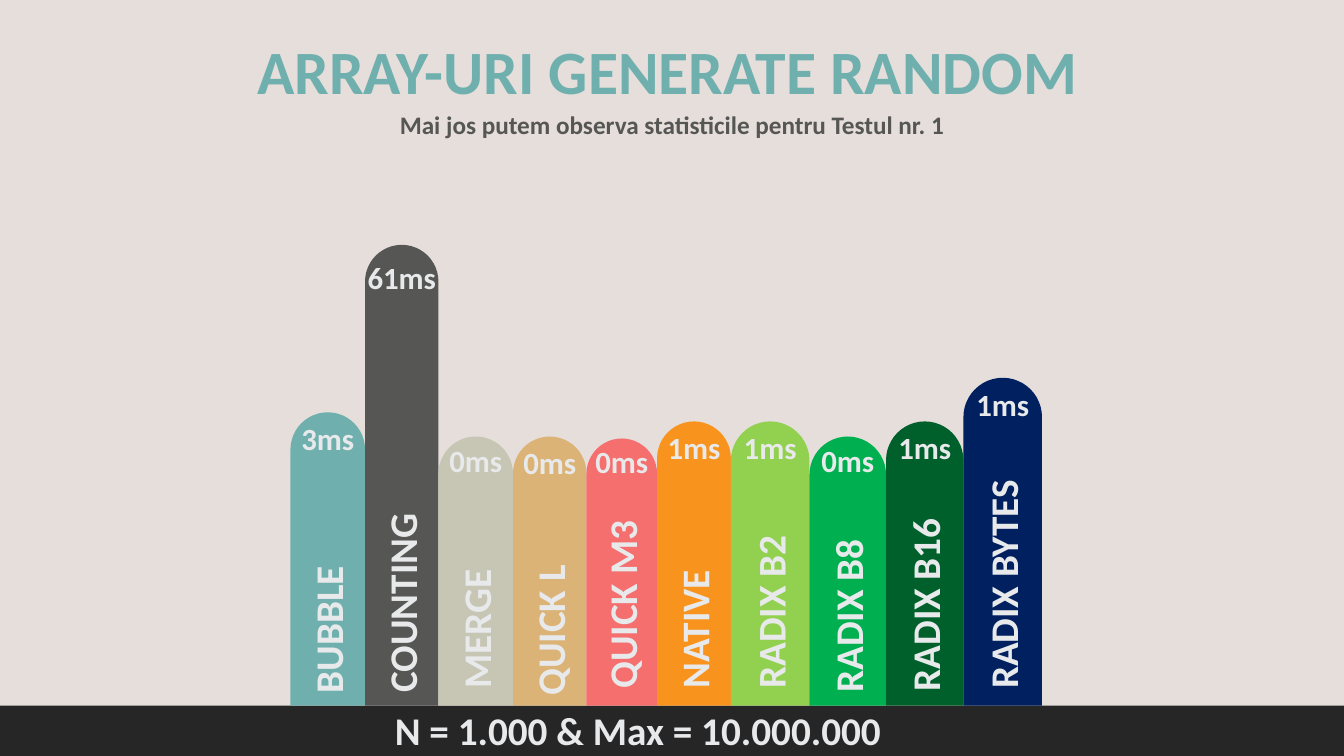
import pptx
import pptx.util
import pptx.dml.color
import pptx.enum.shapes
import pptx.enum.text

Cm = pptx.util.Cm
ALIGN = pptx.enum.text.PP_ALIGN
SHAPE = pptx.enum.shapes.MSO_SHAPE

COLORS = {
    "background": "E5DEDB", "floor": "262626", "label": "E8E9EB",
    "teal": "6FB0AE", "gray": "565654", "stone": "C7C6B4", "sand": "DCB376",
    "coral": "F46F6E", "orange": "F8931D", "lime": "92D050",
    "green": "00B050", "forest": "00602B", "navy": "002060",
}
HEADINGS = [
    ("ARRAY-URI GENERATE RANDOM", (3.94, 0.71, 25.78, 2.13), 44, "teal", ALIGN.CENTER),
    ("Mai jos putem observa statisticile pentru Testul nr. 1",
     (7.87, 2.64, 18.14, 1.02), 18, "gray", ALIGN.CENTER),
    ("N = 1.000 & Max = 10.000.000", (9.7, 17.68, 17.81, 1.45), 28, "label", ALIGN.LEFT),
]
# name, time, color, left, top, time top, name foot, name length
BARS = [
    ("BUBBLE", "3ms", "teal", 7.32, 10.39, 10.44, 17.72, 3.81),
    ("COUNTING", "61ms", "gray", 9.2, 6.17, 6.4, 17.7, 5.26),
    ("MERGE", "0ms", "stone", 11.05, 11, 11, 17.6, 3.94),
    ("QUICK L", "0ms", "sand", 12.93, 11, 11.05, 17.78, 4.34),
    ("QUICK M3", "0ms", "coral", 14.78, 11.05, 11.02, 17.6, 6.99),
    ("NATIVE", "1ms", "orange", 16.56, 10.62, 10.69, 17.6, 4.04),
    ("RADIX B2", "1ms", "lime", 18.42, 10.62, 10.69, 17.6, 4.7),
    ("RADIX B8", "0ms", "green", 20.4, 11, 11, 17.7, 4.7),
    ("RADIX B16", "1ms", "forest", 22.33, 10.62, 10.67, 17.67, 6.1),
    ("RADIX BYTES", "1ms", "navy", 24.28, 9.52, 9.6, 17.61, 6.3),
]
BARS_RIGHT = 26.26
FLOOR_TOP = 17.78
SLIDE_WIDTH, SLIDE_HEIGHT = 33.87, 19.05
TIME_WIDTH, TIME_HEIGHT = 2.3, 1.19
NAME_HEIGHT = 1.45


def rgb(color):
    return pptx.dml.color.RGBColor.from_string(COLORS[color])


def add_block(slide, kind, box, color):
    block = slide.shapes.add_shape(kind, *map(Cm, box))
    block.shadow.inherit = False
    block.fill.solid()
    block.fill.fore_color.rgb = rgb(color)
    block.line.fill.background()
    return block


def add_label(slide, text, box, size, color, align, rotation=0):
    label = slide.shapes.add_textbox(*map(Cm, box))
    label.rotation = rotation
    label.text_frame.word_wrap = True
    paragraph = label.text_frame.paragraphs[0]
    paragraph.alignment = align
    run = paragraph.add_run()
    run.text = text
    formats = {"name": "Calibri", "size": pptx.util.Pt(size), "bold": True}
    for attribute, value in formats.items():
        setattr(run.font, attribute, value)
    run.font.color.rgb = rgb(color)


def main():
    deck = pptx.Presentation()
    deck.slide_width, deck.slide_height = Cm(SLIDE_WIDTH), Cm(SLIDE_HEIGHT)
    slide = deck.slides.add_slide(deck.slide_layouts[6])
    slide.background.fill.solid()
    slide.background.fill.fore_color.rgb = rgb("background")

    add_block(slide, SHAPE.RECTANGLE,
              (0, FLOOR_TOP, SLIDE_WIDTH, SLIDE_HEIGHT - FLOOR_TOP), "floor")
    for text, box, size, color, align in HEADINGS:
        add_label(slide, text, box, size, color, align)

    rights = [bar[3] for bar in BARS[1:]] + [BARS_RIGHT]
    for bar, right in zip(BARS, rights):
        name, time, color, left, top, time_top, foot, length = bar
        center = (left + right) / 2
        column = add_block(slide, SHAPE.ROUND_2_SAME_RECTANGLE,
                           (left, top, right - left, FLOOR_TOP - top), color)
        column.adjustments[0] = 0.5
        column.adjustments[1] = 0
        name_box = (center - length / 2, foot - (length + NAME_HEIGHT) / 2,
                    length, NAME_HEIGHT)
        add_label(slide, name, name_box, 28, "label", ALIGN.LEFT, 270)
        time_box = (center - TIME_WIDTH / 2, time_top, TIME_WIDTH, TIME_HEIGHT)
        add_label(slide, time, time_box, 22, "label", ALIGN.CENTER)

    deck.save("out.pptx")


if __name__ == "__main__":
    main()
